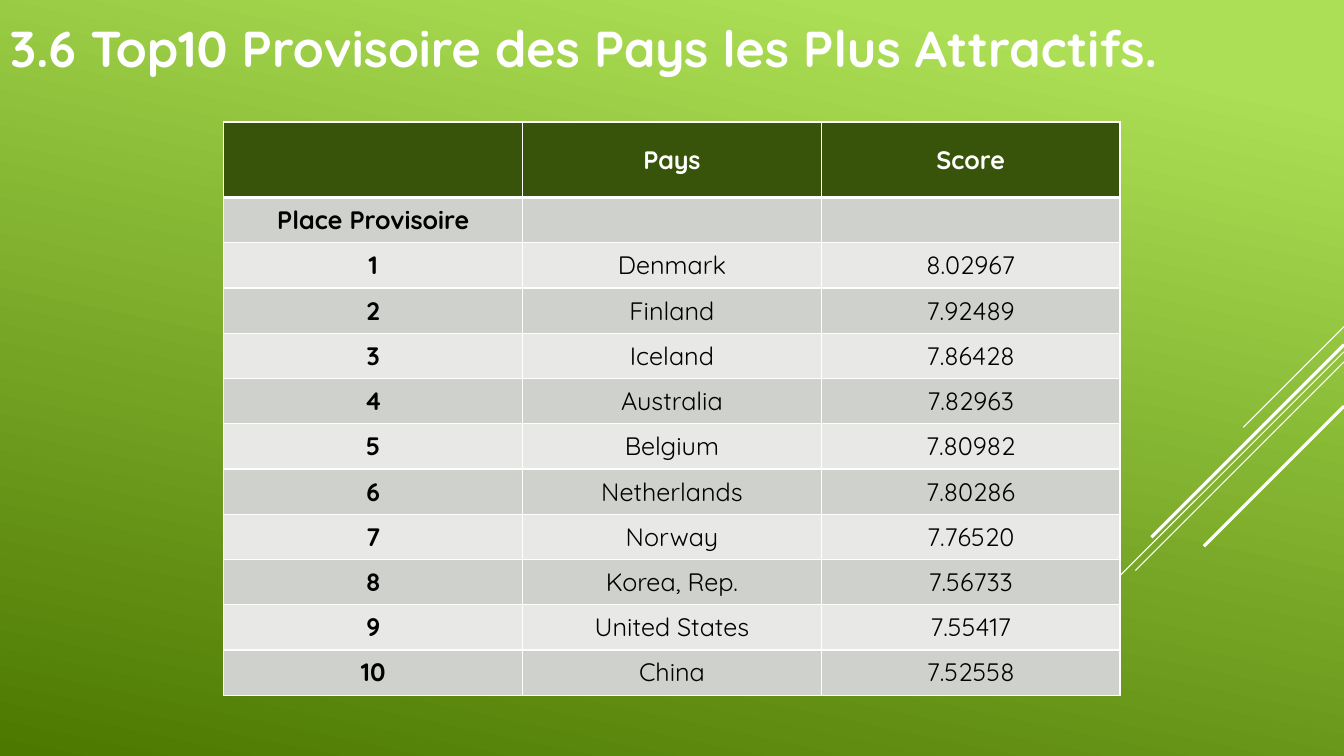
from lxml.etree import SubElement
from pptx import Presentation
from pptx.dml.color import RGBColor
from pptx.enum.text import MSO_ANCHOR, PP_ALIGN
from pptx.oxml.ns import qn
from pptx.util import Inches, Pt

FONT = "Quicksand"
COLORS = {
    "light": "ACDF55",
    "dark": "4C7800",
    "header": "38540A",
    "band_odd": "CED1CC",
    "band_even": "E8E9E7",
    "white": "FFFFFF",
    "black": "000000",
}
HEADER = ("", "Pays", "Score")
COUNTRIES = [
    ("Denmark", "8.02967"),
    ("Finland", "7.92489"),
    ("Iceland", "7.86428"),
    ("Australia", "7.82963"),
    ("Belgium", "7.80982"),
    ("Netherlands", "7.80286"),
    ("Norway", "7.76520"),
    ("Korea, Rep.", "7.56733"),
    ("United States", "7.55417"),
    ("China", "7.52558"),
]
DIAGONALS = [
    (0, 1, 0.75),
    (0.25, 3.26, 0.75),
    (0.35, 2.07, 0.75),
    (0.18, 1.91, 2.25),
    (0.79, 1.39, 2.25),
]


def rgb(name):
    return RGBColor.from_string(COLORS[name])


def write(tf, text, size=18, color="black", bold=False, align=PP_ALIGN.LEFT):
    p = tf.paragraphs[0]
    p.alignment = align
    p.font.size = Pt(size)
    p.font.name = FONT
    if text:
        r = p.add_run()
        r.text = text
        r.font.name = FONT
        r.font.size = Pt(size)
        r.font.bold = bold
        r.font.color.rgb = rgb(color)


def paint_background(s):
    fill = s.background.fill
    fill.gradient()
    fill.gradient_angle = 360 - 102
    for stop, position, color in zip(fill.gradient_stops, (0.1, 1), ("light", "dark")):
        stop.position = position
        stop.color.rgb = rgb(color)


def add_diagonals(s, right, top):
    for offset, run, width in DIAGONALS:
        y = top + offset
        line = s.shapes.add_connector(
            1, Inches(right), Inches(y), Inches(right - run), Inches(y + run))
        line.line.color.rgb = rgb("white")
        line.line.width = Pt(width)
        SubElement(line._element.spPr, qn("a:effectLst"))


def add_title(s, left, top, width, height):
    sp = s.shapes.add_textbox(Inches(left), Inches(top), Inches(width), Inches(height))
    tf = sp.text_frame
    tf.word_wrap = True
    tf.vertical_anchor = MSO_ANCHOR.MIDDLE
    write(tf, "3.6 Top10 Provisoire des Pays les Plus Attractifs.",
          size=36, color="white", bold=True)


def set_borders(cell, top=1, bottom=1):
    tc_pr = cell._tc.get_or_add_tcPr()
    for side, width in (("L", 1), ("R", 1), ("T", top), ("B", bottom)):
        ln = SubElement(tc_pr, qn(f"a:ln{side}"), w=str(Pt(width)))
        fill = SubElement(ln, qn("a:solidFill"))
        SubElement(fill, qn("a:srgbClr"), val=COLORS["white"])


def add_ranking(s, left, top, width, height, header_height=0.75):
    rows = [HEADER, ("Place Provisoire", "", "")]
    rows += [(str(rank), *country) for rank, country in enumerate(COUNTRIES, 1)]
    table = s.shapes.add_table(
        len(rows), len(HEADER), Inches(left), Inches(top),
        Inches(width), Inches(height)).table
    table.horz_banding = False
    row_height = (height - header_height) / (len(rows) - 1)
    for i, values in enumerate(rows):
        is_header = i == 0
        table.rows[i].height = Inches(header_height if is_header else row_height)
        band = "header" if is_header else "band_odd" if i % 2 else "band_even"
        for j, value in enumerate(values):
            cell = table.cell(i, j)
            set_borders(cell, top=3 if i == 1 else 1, bottom=3 if is_header else 1)
            cell.fill.solid()
            cell.fill.fore_color.rgb = rgb(band)
            cell.vertical_anchor = MSO_ANCHOR.MIDDLE
            cell.margin_left = cell.margin_right = Inches(0.08)
            cell.margin_top = cell.margin_bottom = Inches(0.04)
            write(cell.text_frame, value, color="white" if is_header else "black",
                  bold=is_header or j == 0, align=PP_ALIGN.CENTER)


def main():
    prs = Presentation()
    prs.slide_width = Inches(13.33)
    prs.slide_height = Inches(7.5)
    s = prs.slides.add_slide(prs.slide_layouts[6])
    paint_background(s)
    add_diagonals(s, 13.33, 3.24)
    add_title(s, 0, 0, 13.33, 0.94)
    add_ranking(s, 2.22, 1.21, 8.89, 5.69)
    prs.save("out.pptx")


if __name__ == "__main__":
    main()
